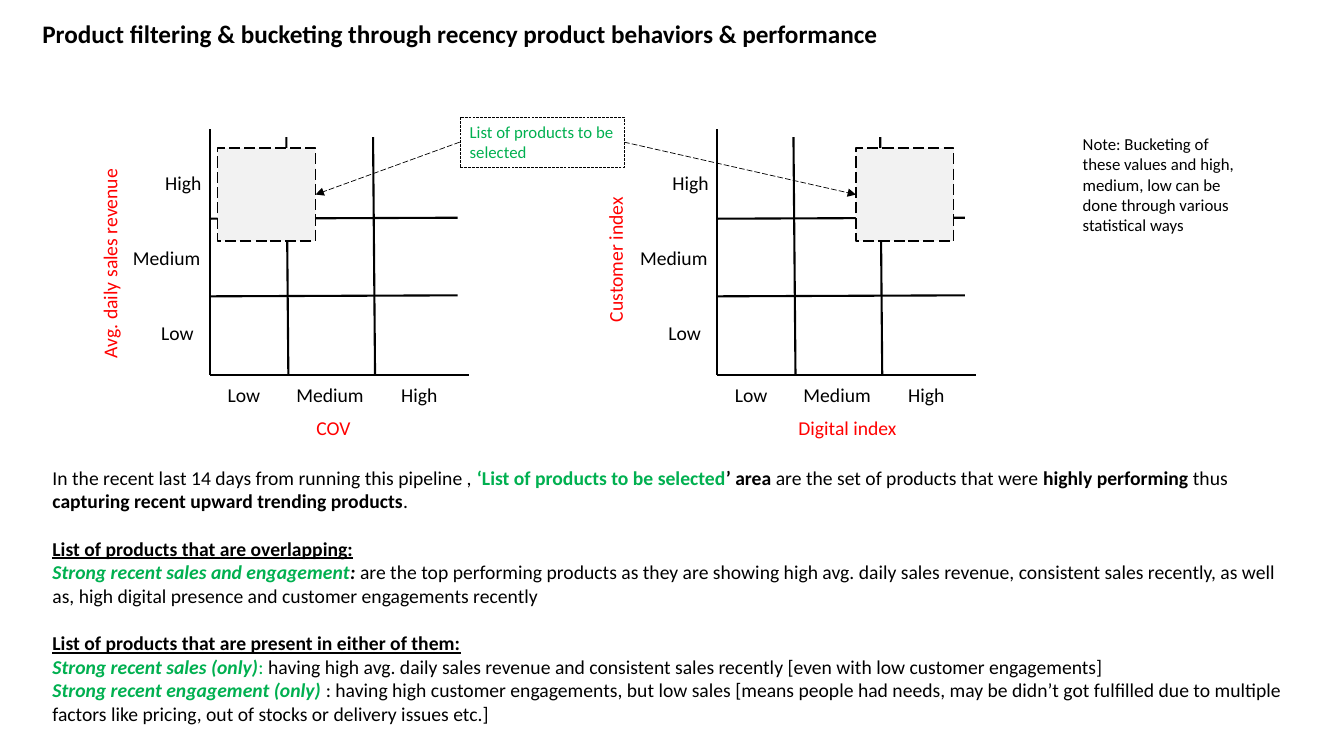
from pptx import Presentation
from pptx.dml.color import RGBColor
from pptx.enum.dml import MSO_LINE
from pptx.enum.shapes import MSO_CONNECTOR as LINK, MSO_SHAPE as SHAPE
from pptx.enum.text import MSO_ANCHOR as ANCHOR, MSO_AUTO_SIZE as FIT, PP_ALIGN as ALIGN
from pptx.oxml.ns import qn
from pptx.util import Inches, Pt
from lxml.etree import SubElement

BLACK = RGBColor(0, 0, 0)
GREEN = RGBColor(0, 176, 80)
RED = RGBColor(255, 0, 0)
GREY = RGBColor(242, 242, 242)

LEVELS = ["Low", "Medium", "High"]
WIDTHS = [0.53, 0.95, 0.66]
SIDE = [-0.58, -0.86, -0.54]
BASE = [0.08, 0.76, 1.8]
TALL, WIDE, STEP = 2.44, 2.57, 0.74

PLAIN, BOLD = {}, {"bold": True}
HEAD = {"bold": True, "underline": True}
TERM = {"bold": True, "italic": True, "color": GREEN}

# (space before in points, runs)
BODY = [
    (0, [("In the recent last 14 days from running this pipeline , ", PLAIN),
         ("‘List of products to be selected", {"bold": True, "color": GREEN}),
         ("’ area", BOLD),
         (" are the set of products that were ", PLAIN),
         ("highly performing ", BOLD), ("thus ", PLAIN),
         ("capturing recent upward trending products", BOLD), (".", PLAIN)]),
    (17, [("List of products that are overlapping:", HEAD)]),
    (0, [("Strong recent sales and engagement", TERM),
         (": ", {"bold": True, "italic": True}),
         ("are the top performing products as they are showing high avg. daily sales "
          "revenue, consistent sales recently, as well as, high digital presence and "
          "customer engagements recently", PLAIN)]),
    (17, [("List of products that are present in either of them:", HEAD)]),
    (0, [("Strong recent sales (only)", TERM), (": ", {"color": GREEN}),
         ("having high avg. daily sales revenue and consistent sales recently "
          "[even with low customer engagements]", PLAIN)]),
    (0, [("Strong recent engagement (only) ", TERM),
         (": having high customer engagements, but low sales [means people had needs, "
          "may be didn’t got fulfilled due to multiple factors like pricing, out of "
          "stocks or delivery issues etc.]", PLAIN)]),
]


def place(shape, box):
    for name, size in zip(("left", "top", "width", "height"), box):
        setattr(shape, name, Inches(size))


def write(para, runs, size):
    para.alignment = ALIGN.LEFT
    for text, style in runs:
        run = para.add_run()
        run.text = text
        form = {"name": "Calibri", "size": Pt(size), "bold": False, **style}
        run.font.color.rgb = form.pop("color", BLACK)
        for key, value in form.items():
            setattr(run.font, key, value)


def label(slide, text, box, size=14, color=BLACK, turn=0):
    shape = slide.shapes.add_textbox(*map(Inches, box))
    shape.rotation = turn
    shape.text_frame.word_wrap = True
    write(shape.text_frame.paragraphs[0], [(text, {"color": color})], size)


def rule(slide, start, end, width=1.5):
    line = slide.shapes.add_connector(LINK.STRAIGHT, *map(Inches, (*start, *end)))
    line.line.color.rgb = BLACK
    line.line.width = Pt(width)
    SubElement(line._element.spPr, qn("a:effectLst"))
    return line


def frame(slide, box, width):
    """Add a dashed rectangle without fill."""
    shape = slide.shapes.add_shape(SHAPE.RECTANGLE, *map(Inches, box))
    shape.shadow.inherit = False
    shape.fill.background()
    shape.line.color.rgb = BLACK
    shape.line.width = Pt(width)
    shape.line.dash_style = MSO_LINE.LONG_DASH
    return shape


def matrix(slide, left, top, pick):
    """Draw a three by three grid and return its shaded area, pick inches in."""
    floor = top + TALL
    rule(slide, (left, top), (left, floor))
    rule(slide, (left, floor), (left + WIDE, floor))
    for x in (0.76, 1.62):
        rule(slide, (left + x, top + 0.08), (left + x + 0.02, floor - 0.01))
    for y in (0.88, 1.65):
        rule(slide, (left, top + y + 0.01), (left + 2.46, top + y))
    for i, (text, width) in enumerate(zip(LEVELS, WIDTHS)):
        label(slide, text, (left + SIDE[i], top + 0.37 + (2 - i) * STEP, width, 0.34))
        label(slide, text, (left + BASE[i], floor + 0.03, width, 0.34))
    area = frame(slide, (left + pick, top + 0.19, 0.97, 0.92), 1)
    area.fill.solid()
    area.fill.fore_color.rgb = GREY
    return area


def callout(slide, box, areas):
    """Add the selection label and an arrow to each shaded area."""
    note = frame(slide, box, 0.25)
    text = note.text_frame
    text.word_wrap, text.vertical_anchor = True, ANCHOR.MIDDLE
    write(text.paragraphs[0], [("List of products to be selected", {"color": GREEN})], 12)
    for area, (start, end) in zip(areas, ((1, 3), (3, 1))):
        arrow = rule(slide, (0, 0), (1, 1), 0.5)
        arrow.begin_connect(note, start)
        arrow.end_connect(area, end)
        arrow.line.dash_style = MSO_LINE.LONG_DASH
        SubElement(arrow.line._get_or_add_ln(), qn("a:tailEnd"), type="triangle")


def heading(slide, box):
    title = slide.shapes.title
    place(title, box)
    title.text_frame.auto_size = FIT.NONE
    write(title.text_frame.paragraphs[0],
          [("Product filtering & bucketing through recency product behaviors & performance",
            BOLD)], 18)


def summary(slide, box):
    body = slide.placeholders[1]
    place(body, box)
    text = body.text_frame
    text.auto_size = FIT.NONE
    for i, (gap, runs) in enumerate(BODY):
        para = text.add_paragraph() if i else text.paragraphs[0]
        para.space_before = Pt(gap)
        props = para._p.get_or_add_pPr()
        props.set("marL", "0")
        props.set("indent", "0")
        SubElement(props, qn("a:buNone"))
        write(para, runs, 14)


def main():
    deck = Presentation()
    deck.slide_width, deck.slide_height = Inches(13.33), Inches(7.5)
    slide = deck.slides.add_slide(deck.slide_layouts[1])
    heading(slide, (0.32, 0.13, 9.06, 0.4))
    summary(slide, (0.42, 4.57, 12.59, 2.93))
    areas = [matrix(slide, 2.08, 1.28, 0.08), matrix(slide, 7.11, 1.28, 1.38)]
    for text, box, turn in (("COV", (3.04, 4.08, 1.17, 0.34), 0),
                            ("Avg. daily sales revenue", (0, 2.39, 2.18, 0.34), 270),
                            ("Digital index", (7.82, 4.08, 1.63, 0.34), 0),
                            ("Customer index", (5.29, 2.31, 1.63, 0.34), 270)):
        label(slide, text, box, color=RED, turn=turn)
    callout(slide, (4.56, 1.16, 1.63, 0.5), areas)
    label(slide, "Note: Bucketing of these values and high, medium, low can be done "
          "through various statistical ways", (10.64, 1.28, 1.84, 1.11), 12)
    deck.save("out.pptx")


if __name__ == "__main__":
    main()
